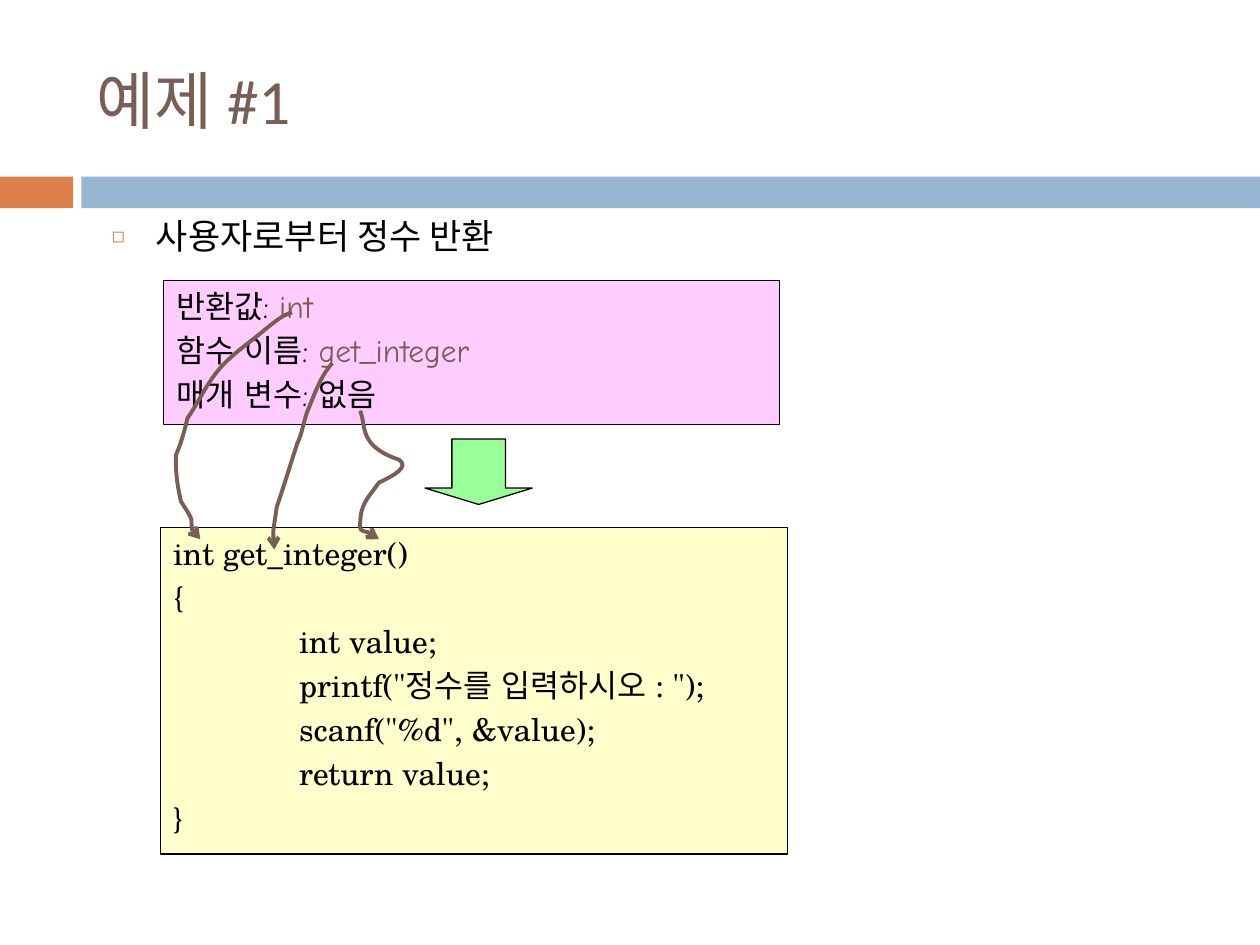
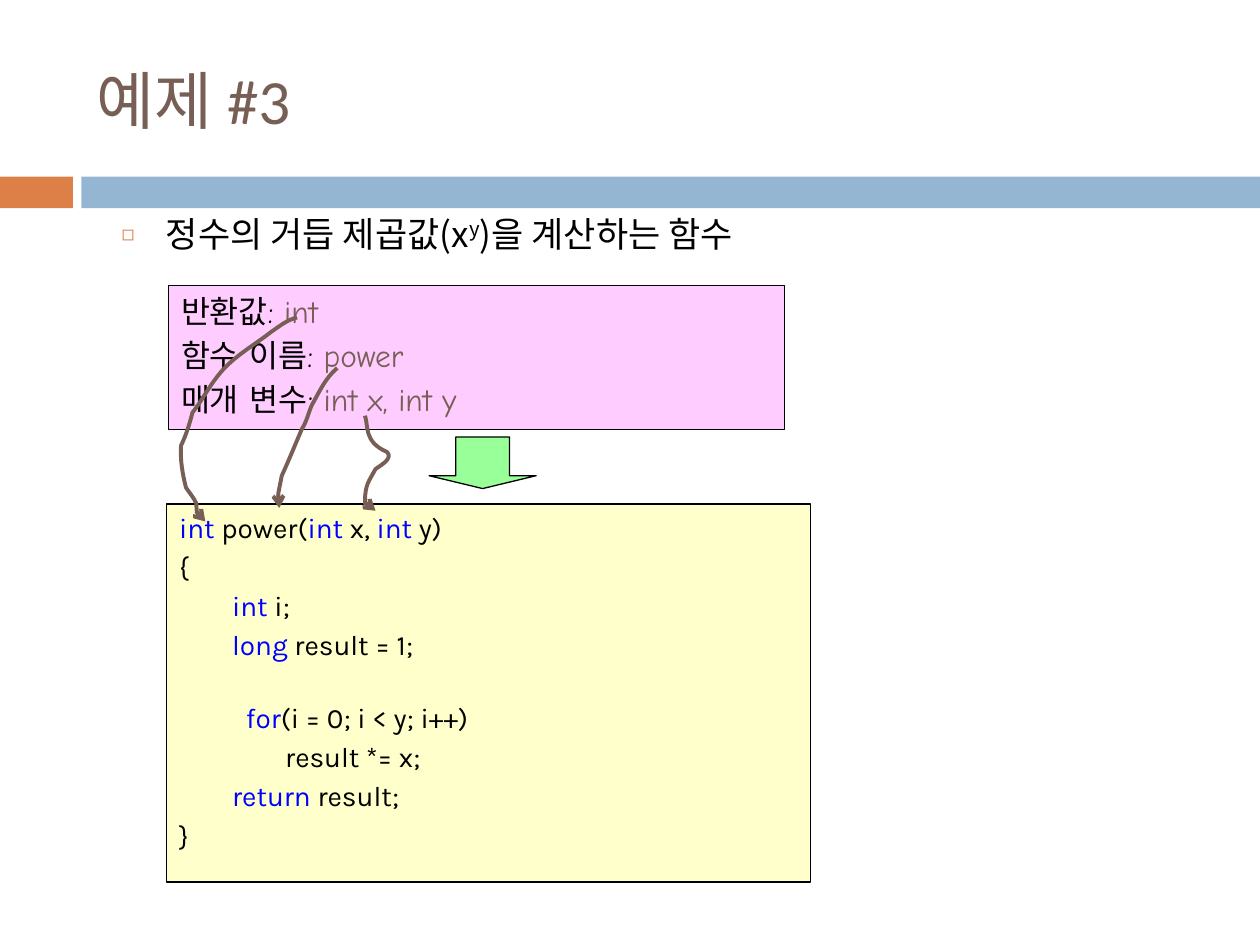
from dataclasses import dataclass
from itertools import cycle
from lxml.etree import SubElement
from pptx import Presentation
from pptx.dml.color import RGBColor
from pptx.enum.shapes import MSO_SHAPE
from pptx.enum.text import MSO_ANCHOR, MSO_AUTO_SIZE, PP_ALIGN
from pptx.oxml.ns import qn
from pptx.util import Cm, Pt


@dataclass(frozen=True)
class Theme:
    ink: str = "000000"
    brown: str = "775F55"
    orange: str = "DD8047"
    steel: str = "94B6D2"
    pink: str = "FFCCFF"
    cream: str = "FFFFCC"
    green: str = "99FF99"
    blue: str = "0000FF"
    head: int = 36
    list: int = 20
    note: int = 18
    thin: float = 0.75
    thick: float = 2.25


theme = Theme()


def write(frame, lines, font, size, color=theme.ink, accent=theme.ink, lift=0,
          gap=0.0, anchor=MSO_ANCHOR.TOP):
    frame.word_wrap = True
    frame.auto_size = MSO_AUTO_SIZE.NONE
    frame.vertical_anchor = anchor
    for row, (indent, text, extra) in enumerate(lines):
        para = frame.paragraphs[0] if row == 0 else frame.add_paragraph()
        para.alignment = PP_ALIGN.LEFT
        para.space_before = Pt(gap + extra)
        para.line_spacing = 1.0
        props = para._p.get_or_add_pPr()
        props.set("marL", str(Cm(indent)))
        props.set("indent", "0")
        for part, (tint, rise) in zip(text.split("|"), cycle([(color, 0), (accent, lift)])):
            if not part:
                continue
            run = para.add_run()
            run.text = part
            run.font.size = Pt(size)
            run.font.name = font
            run.font.color.rgb = RGBColor.from_string(tint)
            style = run._r.get_or_add_rPr()
            SubElement(style, qn("a:ea"), typeface=font)
            if rise:
                style.set("baseline", str(rise))


def block(slide, kind, place, fill, edge=None):
    shape = slide.shapes.add_shape(kind, *map(Cm, place))
    shape.shadow.inherit = False
    shape.fill.solid()
    shape.fill.fore_color.rgb = RGBColor.from_string(fill)
    if edge:
        shape.line.color.rgb = RGBColor.from_string(edge)
        shape.line.width = Pt(theme.thin)
    else:
        shape.line.fill.background()
    return shape


curves = [
    ((5.89, 6.3), [
        (-0.2, 0.05), (-0.36, 0.2), (-0.53, 0.33),
        (-0.89, 0.64), (-1.3, 0.89), (-1.57, 1.27),
        (-1.78, 1.55), (-1.91, 1.85), (-2.11, 2.13),
        (-2.16, 2.36), (-2.24, 2.64), (-2.34, 2.87),
        (-2.36, 3.18), (-2.31, 3.51), (-2.24, 3.81),
        (-2.18, 3.91), (-2.08, 4.04), (-2.03, 4.17),
        (-2.03, 4.19), (-2.03, 4.45), (-1.98, 4.5),
        (-1.96, 4.52), (-1.85, 4.57), (-1.85, 4.57)]),
    ((6.7, 7.32), [
        (-0.25, 0.28), (-0.36, 0.64), (-0.51, 0.99),
        (-0.58, 1.19), (-0.61, 1.42), (-0.71, 1.63),
        (-0.84, 2.03), (-0.97, 2.46), (-1.12, 2.9),
        (-1.14, 3.05), (-1.17, 3.23), (-1.19, 3.38),
        (-1.19, 3.51), (-1.17, 3.76), (-1.17, 3.76)]),
    ((7.26, 8.28), [
        (0.13, 0.3), (-0.05, 0.71), (0.79, 0.99),
        (0.99, 1.14), (0.69, 1.3), (0.38, 1.45),
        (0.13, 1.8), (0, 1.88), (0, 2.34),
        (0, 2.44), (0.38, 2.49), (0.38, 2.59)]),
]

pages = [
    dict(
        title="예제 #1", topic="사용자로부터 정수 반환", list=(2, 4.29),
        facts=["반환값: |int", "함수 이름: |get_integer", "매개 변수: 없음"],
        shift=0, note=(3.3, 5.66), arrow=(8.57, 8.85, 2.16, 1.32),
        code=(3.24, 10.64, 12.63, 6.58), font="TeX Gyre Schola", size=18,
        scale=[(1, 1), (1, 1), (1, 1)],
        lines=[
            (0, "int get_integer()", 0),
            (0, "{", 0),
            (2.54, "int value;", 0),
            (2.54, 'printf("정수를 입력하시오 : ");', 0),
            (2.54, 'scanf("%d", &value);', 0),
            (2.54, "return value;", 0),
            (0, "}", 0)]),
    dict(
        title="예제 #3", topic="정수의 거듭 제곱값(x|y|)을 계산하는 함수", list=(2.2, 4.25),
        facts=["반환값: |int", "함수 이름:| power", "매개 변수: |int x, int y"],
        shift=0.1, note=(3.4, 5.76), arrow=(8.65, 8.81, 2.16, 1.04),
        code=(3.36, 10.16, 12.98, 7.62), font="Karla", size=16,
        scale=[(1, 0.9), (1, 0.75), (0.56, 0.74)],
        lines=[
            (0, "|int| power(|int| x, |int| y)", 0),
            (0, "{", 0),
            (1.07, "|int| i;", 0),
            (1.07, "|long| result = 1;", 0),
            (1.35, "|for|(i = 0; i < y; i++)", 19.2),
            (2.14, "result *= x;", 0),
            (1.07, "|return| result;", 0),
            (0, "}", 0)]),
]

deck = Presentation()
deck.slide_width, deck.slide_height = Cm(25.4), Cm(19.05)
layout = deck.slide_layouts[1]
slides = [deck.slides.add_slide(layout) for page in pages]

for place, fill in [((0, 3.56, 1.47, 0.64), theme.orange),
                    ((1.64, 3.56, 23.76, 0.64), theme.steel)]:
    band = block(slides[0], MSO_SHAPE.RECTANGLE, place, fill)
    deck.slide_master.shapes._spTree.append(band._element)

for slide, page in zip(slides, pages):
    title, body = slide.placeholders
    for holder, place in [(title, (1.7, 0.64, 22.66, 2.74)),
                          (body, (*page["list"], 22.81, 1.04))]:
        holder.left, holder.top, holder.width, holder.height = map(Cm, place)
    write(title.text_frame, [(0, page["title"], 0)], font="Calibri", size=theme.head,
          color=theme.brown, anchor=MSO_ANCHOR.MIDDLE)
    write(body.text_frame, [(0.89, page["topic"], 0)], font="Noto Sans CJK KR",
          size=theme.list, lift=30000, gap=7)
    para = body.text_frame.paragraphs[0]
    para.line_spacing = 0.9
    props = para._p.pPr
    props.set("indent", str(Cm(-0.89)))
    SubElement(SubElement(props, qn("a:buClr")), qn("a:srgbClr"), val=theme.orange)
    SubElement(props, qn("a:buSzPct"), val="60000")
    SubElement(props, qn("a:buChar"), char="◻")

    note = block(slide, MSO_SHAPE.RECTANGLE, (*page["note"], 12.42, 2.9), theme.pink, theme.ink)
    write(note.text_frame, [(0, fact, 0) for fact in page["facts"]], font="Comic Neue",
          size=theme.note, accent=theme.brown, gap=theme.note * 0.2)
    code = block(slide, MSO_SHAPE.RECTANGLE, page["code"], theme.cream, theme.ink)
    write(code.text_frame, page["lines"], font=page["font"], size=page["size"],
          accent=theme.blue, gap=page["size"] * 0.2)
    arrow = block(slide, MSO_SHAPE.DOWN_ARROW, page["arrow"], theme.green, theme.ink)
    arrow.adjustments[0], arrow.adjustments[1] = 0.5, 0.25

    for ((left, top), knots), (wide, high) in zip(curves, page["scale"]):
        left, top = left + page["shift"], top + page["shift"]
        pen = slide.shapes.build_freeform(Cm(left), Cm(top))
        pen.add_line_segments([(Cm(left + x * wide), Cm(top + y * high)) for x, y in knots],
                              close=False)
        curve = pen.convert_to_shape()
        steps = list(curve._element.iter(qn("a:lnTo")))
        trace = steps[0].getparent()
        for i in range(0, len(steps), 3):
            bend = SubElement(trace, qn("a:cubicBezTo"))
            for step in steps[i:i + 3]:
                bend.append(step[0])
                trace.remove(step)
        curve.shadow.inherit = False
        curve.fill.background()
        curve.line.color.rgb = RGBColor.from_string(theme.brown)
        curve.line.width = Pt(theme.thick)
        SubElement(curve.line._get_or_add_ln(), qn("a:tailEnd"), type="arrow")

deck.save("out.pptx")
